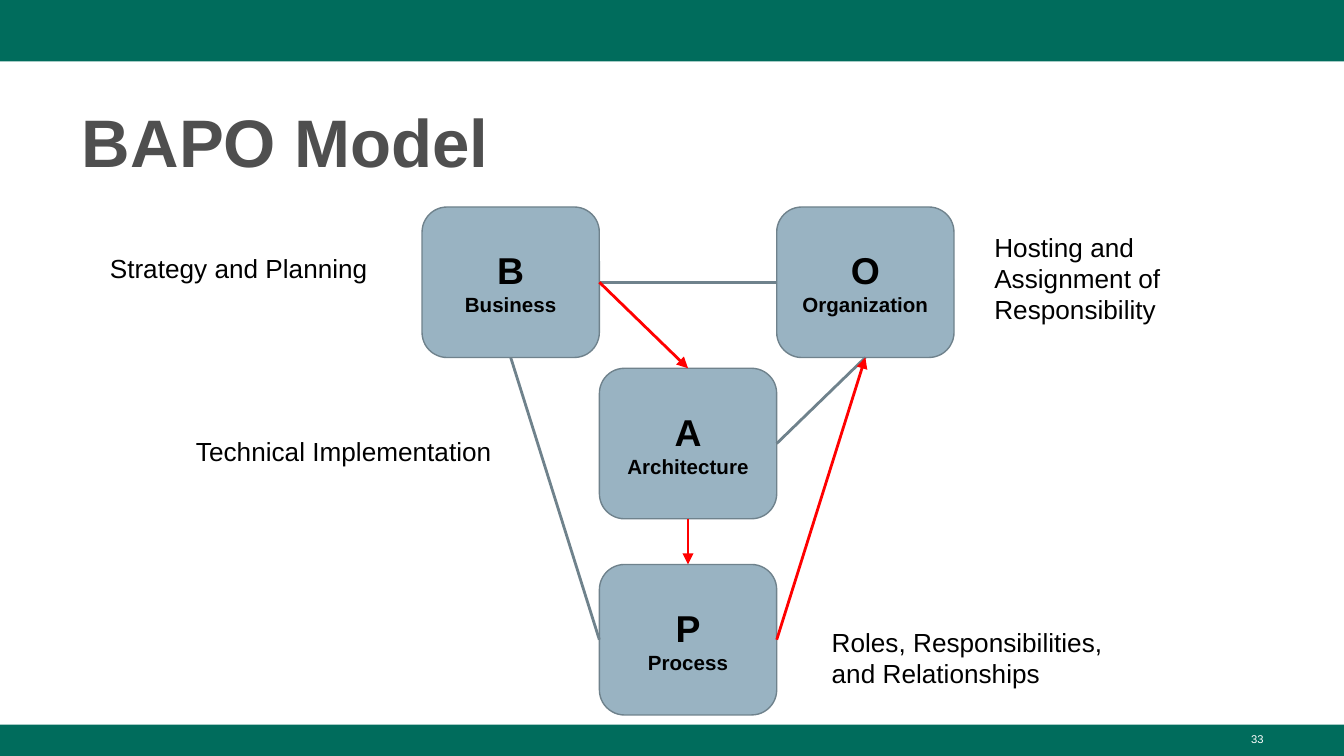
from lxml.etree import SubElement
from pptx import Presentation
from pptx.dml.color import RGBColor
from pptx.enum.shapes import MSO_CONNECTOR, MSO_SHAPE
from pptx.enum.text import MSO_ANCHOR, PP_ALIGN
from pptx.oxml.ns import qn
from pptx.util import Pt

COLORS = {
    "band": "006C5C",
    "title": "4F4F4F",
    "box": "99B3C2",
    "outline": "6F828C",
    "flow": "FF0000",
    "text": "000000",
    "page": "FFFFFF",
}
SLIDE_WIDTH, SLIDE_HEIGHT = 720, 405
BOX_WIDTH, BOX_HEIGHT = 95, 80.64
LEFT_COLUMN = 226.1
TOP, BOTTOM, LEFT, RIGHT = 0, 2, 1, 3  # connection sites of a rounded rectangle

# letter: (name, column in half steps of the grid, top)
DIMENSIONS = {
    "B": ("Business", 0, 110.9),
    "O": ("Organization", 2, 110.9),
    "A": ("Architecture", 1, 197.3),
    "P": ("Process", 1, 302.4),
}
# start box, site, end box, site, colour
LINKS = [
    ("B", RIGHT, "O", LEFT, "outline"),
    ("B", BOTTOM, "P", LEFT, "outline"),
    ("O", BOTTOM, "A", RIGHT, "outline"),
    ("B", RIGHT, "A", TOP, "flow"),
    ("A", BOTTOM, "P", TOP, "flow"),
    ("P", RIGHT, "O", BOTTOM, "flow"),
]
# text, left, top, width
NOTES = [
    ("Strategy and Planning", 51.8, 128.2, 160),
    ("Technical Implementation", 97.9, 226.1, 176),
    ("Roles, Responsibilities, and Relationships", 438.5, 328.3, 160),
    ("Hosting and Assignment of Responsibility", 525.6, 116.6, 160),
]


def rgb(name):
    return RGBColor.from_string(COLORS[name])


def write(paragraph, text, size, color="text", bold=False, align=PP_ALIGN.LEFT):
    paragraph.alignment = align
    run = paragraph.add_run()
    run.text = text
    font = run.font
    font.name, font.size, font.bold = "Arial", Pt(size), bold
    font.color.rgb = rgb(color)


def set_frame(frame, horizontal=7.2, vertical=7.2, anchor=MSO_ANCHOR.TOP):
    frame.word_wrap = True
    frame.vertical_anchor = anchor
    frame.margin_left = frame.margin_right = Pt(horizontal)
    frame.margin_top = frame.margin_bottom = Pt(vertical)


def add_band(slide, top, height):
    band = slide.shapes.add_shape(
        MSO_SHAPE.RECTANGLE, 0, Pt(top), Pt(SLIDE_WIDTH), Pt(height))
    band.shadow.inherit = False
    band.fill.solid()
    band.fill.fore_color.rgb = rgb("band")
    band.line.fill.background()


def add_title(slide, text):
    title = slide.shapes.title
    title.left, title.top = Pt(36.7), Pt(48.2)
    title.width, title.height = Pt(647.3), Pt(52.6)
    set_frame(title.text_frame, vertical=3.6, anchor=MSO_ANCHOR.BOTTOM)
    paragraph = title.text_frame.paragraphs[0]
    paragraph.line_spacing = 1.08
    write(paragraph, text, 36, color="title", bold=True)


def add_dimension(slide, letter, name, column, top):
    box = slide.shapes.add_shape(
        MSO_SHAPE.ROUNDED_RECTANGLE, Pt(LEFT_COLUMN + column * BOX_WIDTH), Pt(top),
        Pt(BOX_WIDTH), Pt(BOX_HEIGHT))
    box.shadow.inherit = False
    box.fill.solid()
    box.fill.fore_color.rgb = rgb("box")
    box.line.color.rgb = rgb("outline")
    box.line.width = Pt(0.75)
    frame = box.text_frame
    set_frame(frame, anchor=MSO_ANCHOR.MIDDLE)
    write(frame.paragraphs[0], letter, 20, bold=True, align=PP_ALIGN.CENTER)
    write(frame.add_paragraph(), name, 11, bold=True, align=PP_ALIGN.CENTER)
    return box


def add_link(slide, start, start_site, end, end_site, color):
    """Join two boxes; a link in the flow colour gets an arrowhead."""
    link = slide.shapes.add_connector(MSO_CONNECTOR.STRAIGHT, 0, 0, 0, 0)
    link.begin_connect(start, start_site)
    link.end_connect(end, end_site)
    link.line.color.rgb = rgb(color)
    link.line.width = Pt(1.5)
    if color == "flow":
        SubElement(link.line._get_or_add_ln(), qn("a:tailEnd"), type="triangle")
    SubElement(link._element.spPr, qn("a:effectLst"))


def add_text(slide, text, left, top, width, height, vertical=7.2, **text_format):
    box = slide.shapes.add_textbox(Pt(left), Pt(top), Pt(width), Pt(height))
    set_frame(box.text_frame, vertical=vertical)
    write(box.text_frame.paragraphs[0], text, **text_format)


def main():
    presentation = Presentation()
    presentation.slide_width = Pt(SLIDE_WIDTH)
    presentation.slide_height = Pt(SLIDE_HEIGHT)
    slide = presentation.slides.add_slide(presentation.slide_layouts[5])

    add_band(slide, 0, 33)
    add_band(slide, 388.2, SLIDE_HEIGHT - 388.2)
    add_text(slide, "33", 516.2, 388.8, 167.8, 16.2, vertical=3.6,
             size=6, color="page", align=PP_ALIGN.RIGHT)
    add_title(slide, "BAPO Model")

    boxes = {letter: add_dimension(slide, letter, *details)
             for letter, details in DIMENSIONS.items()}
    for start, start_site, end, end_site, color in LINKS:
        add_link(slide, boxes[start], start_site, boxes[end], end_site, color)
    for text, left, top, width in NOTES:
        add_text(slide, text, left, top, width, 46, size=14)

    presentation.save("out.pptx")


if __name__ == "__main__":
    main()
